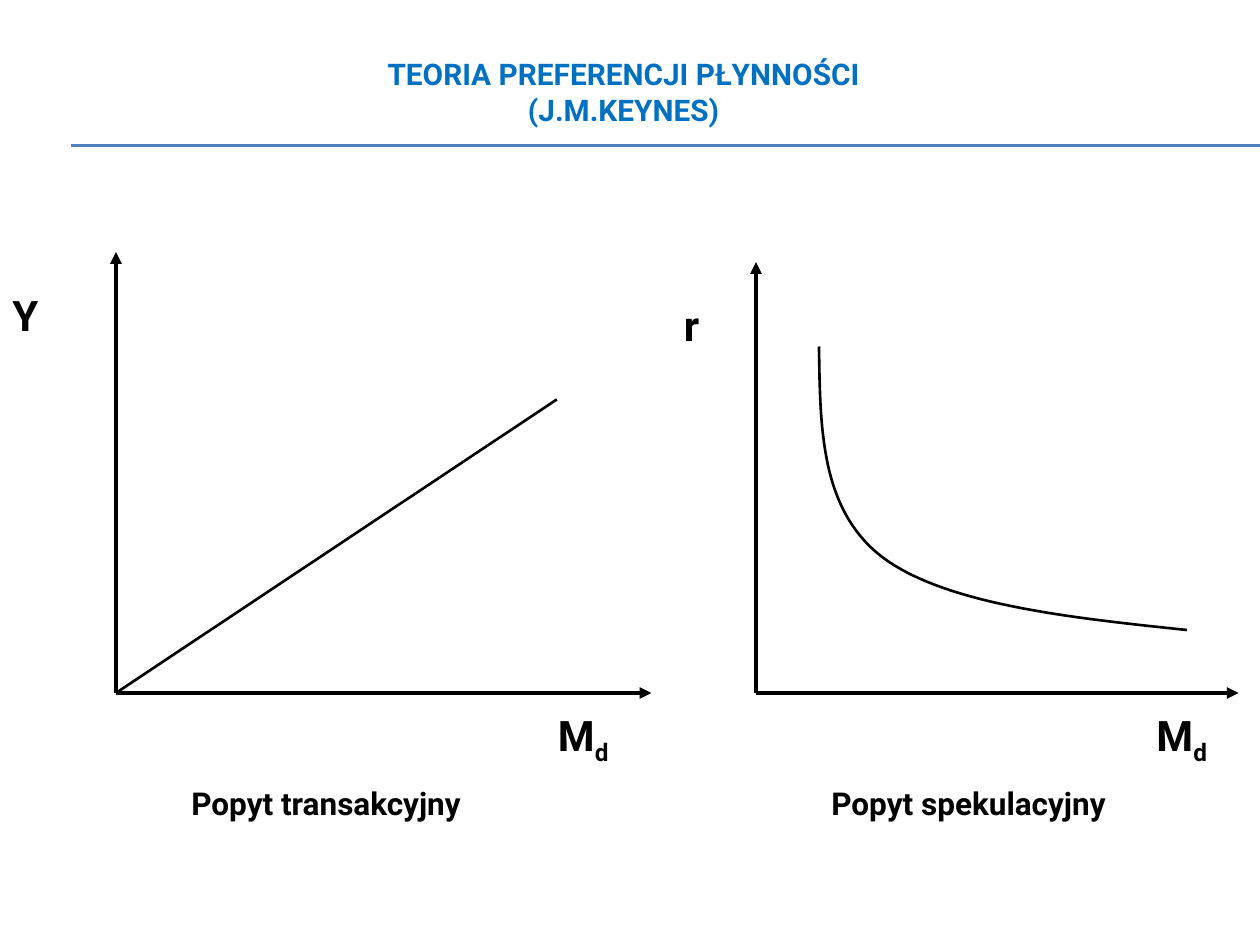
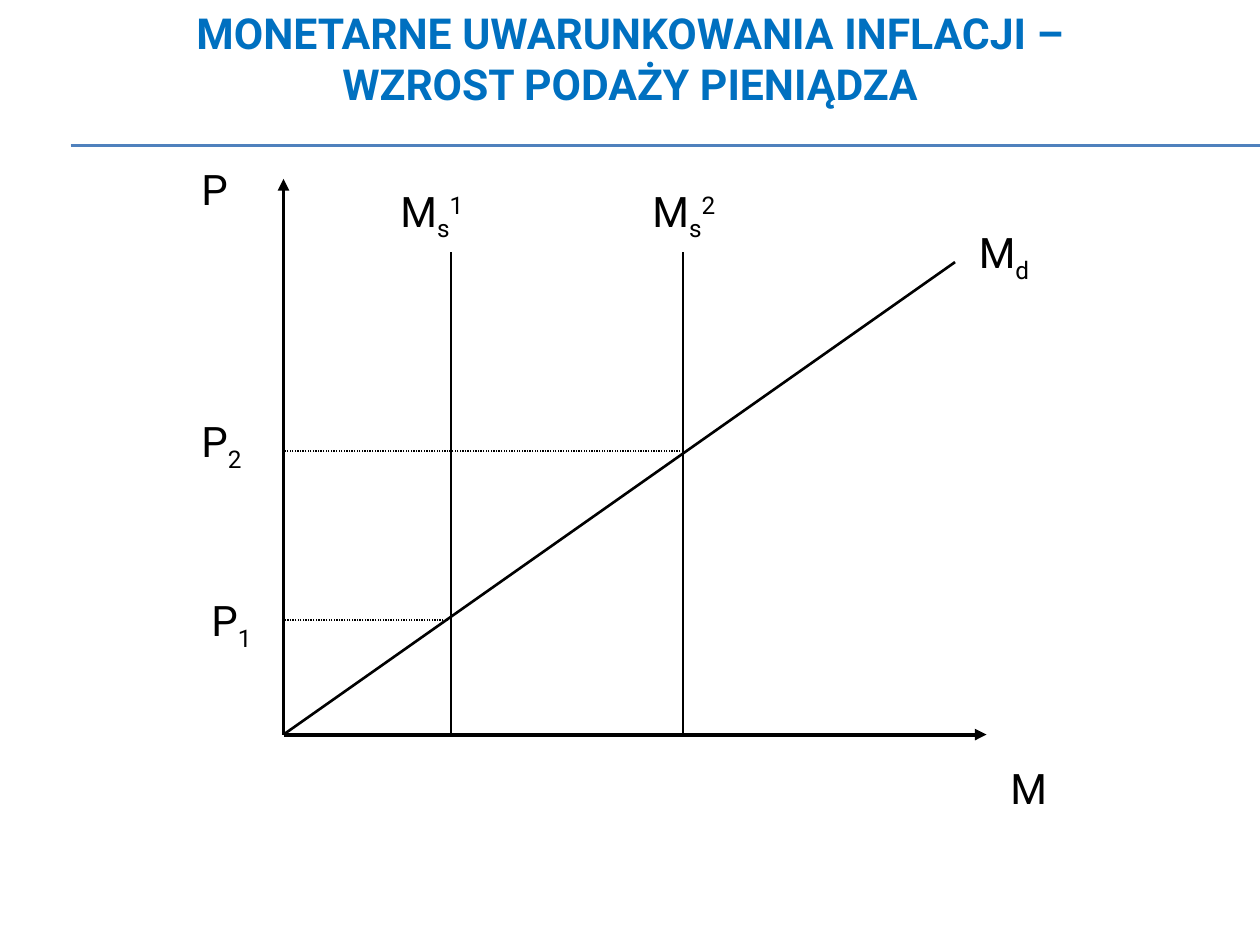
from copy import deepcopy
from dataclasses import dataclass

from lxml import etree
from pptx import Presentation
from pptx.dml.color import RGBColor
from pptx.enum import dml, shapes, text
from pptx.oxml import ns
from pptx.util import Inches, Pt

FONT = "Roboto"
BLACK, TITLE_BLUE, RULE_BLUE = "000000", "0070C0", "4F81BD"
TITLE_ONLY = 5
AXIS_WIDTH, CURVE_WIDTH, THIN_WIDTH = 2.25, 1.5, 0.75
RULE_LEFT, RULE_RIGHT, RULE_TOPS = 0.56, 10, (1.15, 1.16)
SUBSCRIPT, SUPERSCRIPT = -25000, 30000

Point = tuple[float, float]


@dataclass
class Axes:
    origin: Point
    top: float
    right: float


@dataclass
class Label:
    left: float
    top: float
    width: float
    body: str
    sub: str = ""
    sup: str = ""
    size: float = 24
    space_before: float = 12

    @property
    def height(self) -> float:
        if self.sub:
            return 0.55
        return 0.5 if self.size == 24 else 0.4


def color(value: str) -> RGBColor:
    return RGBColor.from_string(value)


def format_span(span, size: float, hue: str = BLACK, bold: bool = False, baseline: int = 0):
    font = span.font
    font.name, font.size, font.bold = FONT, Pt(size), bold
    font.color.rgb = color(hue)
    if baseline:
        span._r.get_or_add_rPr().set("baseline", str(baseline))


def add_title(page, content: str, left: float, top: float, width: float, height: float, size: float):
    box = page.shapes.title
    box.left, box.top, box.width, box.height = map(Inches, (left, top, width, height))
    frame = box.text_frame
    frame.word_wrap = True
    frame.auto_size = text.MSO_AUTO_SIZE.NONE
    frame.vertical_anchor = text.MSO_ANCHOR.MIDDLE
    para = frame.paragraphs[0]
    para.text = content
    para.alignment = text.PP_ALIGN.CENTER
    for span in para.runs:
        format_span(span, size, TITLE_BLUE, bold=True)
    # A line break needs the run format too, or it keeps the layout's larger size.
    for line_break in para._p.findall(ns.qn("a:br")):
        line_break.insert(0, deepcopy(para.runs[0]._r.rPr))


def add_line(page, start: Point, end: Point, width: float = CURVE_WIDTH, hue: str = BLACK,
             arrow: bool = False, dotted: bool = False):
    line = page.shapes.add_connector(shapes.MSO_CONNECTOR.STRAIGHT, *map(Inches, (*start, *end)))
    line.line.width = Pt(width)
    line.line.color.rgb = color(hue)
    if dotted:
        line.line.dash_style = dml.MSO_LINE.ROUND_DOT
    if arrow:
        etree.SubElement(line.line._get_or_add_ln(), ns.qn("a:tailEnd"), type="triangle")
    etree.SubElement(line._element.spPr, ns.qn("a:effectLst"))


def add_axes(page, axes: Axes):
    x, y = axes.origin
    for end in ((x, axes.top), (axes.right, y)):
        add_line(page, axes.origin, end, AXIS_WIDTH, arrow=True)


def add_label(page, label: Label, bold: bool = False):
    box = page.shapes.add_textbox(*map(Inches, (label.left, label.top, label.width, label.height)))
    box.text_frame.word_wrap = True
    para = box.text_frame.paragraphs[0]
    para.space_before = Pt(label.space_before)
    for part, baseline in ((label.body, 0), (label.sub, SUBSCRIPT), (label.sup, SUPERSCRIPT)):
        if part:
            span = para.add_run()
            span.text = part
            format_span(span, label.size, bold=bold, baseline=baseline)


def bezier(corners: tuple[Point, ...], steps: int = 30) -> list[Point]:
    """Points on a cubic curve, without its start."""
    points = []
    for step in range(1, steps + 1):
        t = step / steps
        weights = ((1 - t) ** 3, 3 * t * (1 - t) ** 2, 3 * t ** 2 * (1 - t), t ** 3)
        points.append(tuple(sum(w * c[i] for w, c in zip(weights, corners)) for i in (0, 1)))
    return points


def add_curve(page, start: Point, *pieces: tuple[Point, Point, Point]):
    points = [start]
    for piece in pieces:
        points += bezier((points[-1], *piece))
    in_emu = [(Inches(x), Inches(y)) for x, y in points]
    builder = page.shapes.build_freeform(*in_emu[0])
    builder.add_line_segments(in_emu[1:], close=False)
    curve = builder.convert_to_shape()
    curve.shadow.inherit = False
    curve.fill.background()
    curve.line.color.rgb = color(BLACK)
    curve.line.width = Pt(CURVE_WIDTH)


def add_page(deck):
    page = deck.slides.add_slide(deck.slide_layouts[TITLE_ONLY])
    for top in RULE_TOPS:
        add_line(page, (RULE_LEFT, top), (RULE_RIGHT, top), THIN_WIDTH, RULE_BLUE)
    return page


def build_liquidity_preference(deck):
    page = add_page(deck)
    add_title(page, "TEORIA PREFERENCJI PŁYNNOŚCI\n(J.M.KEYNES)", 0.7, 0.39, 8.5, 0.67, size=17)
    transaction = Axes((0.92, 5.5), top=2, right=5.17)
    speculation = Axes((6, 5.5), top=2.08, right=9.83)
    for axes in (transaction, speculation):
        add_axes(page, axes)
    add_line(page, transaction.origin, (4.42, 3.17))
    add_curve(page, (6.5, 2.75),
              ((6.51, 3.4), (6.51, 4.04), (7, 4.42)),
              ((7.49, 4.79), (8.45, 4.9), (9.42, 5)))
    for label in (
        Label(0, 2.25, 0.75, "Y"),
        Label(4.33, 5.58, 0.92, "M", "d"),
        Label(1.42, 6.17, 2.67, "Popyt transakcyjny", size=18, space_before=6),
        Label(5.33, 2.33, 0.58, "r"),
        Label(9.08, 5.58, 0.75, "M", "d"),
        Label(6.5, 6.17, 3, "Popyt spekulacyjny", size=18, space_before=6),
    ):
        add_label(page, label, bold=True)


def build_money_supply_growth(deck):
    page = add_page(deck)
    add_title(page, "MONETARNE UWARUNKOWANIA INFLACJI – WZROST PODAŻY PIENIĄDZA",
              0.75, 0, 8.5, 0.92, size=24.4)
    axes = Axes((2.25, 5.83), top=1.42, right=7.83)
    axis_x, axis_y = axes.origin
    add_axes(page, axes)
    add_line(page, axes.origin, (7.58, 2.08))
    for supply, price in ((3.58, 4.92), (5.42, 3.58)):
        add_line(page, (supply, 2), (supply, axis_y))
        add_line(page, (supply, price), (axis_x, price), THIN_WIDTH, dotted=True)
    for label in (
        Label(1.5, 1.25, 0.58, "P"),
        Label(7.92, 6, 0.67, "M"),
        Label(3.08, 1.42, 0.83, "M", "s", "1"),
        Label(5.08, 1.42, 0.83, "M", "s", "2"),
        Label(7.67, 1.75, 0.67, "M", "d"),
        Label(1.58, 4.67, 0.58, "P", "1"),
        Label(1.5, 3.25, 0.67, "P", "2"),
    ):
        add_label(page, label)


def main():
    deck = Presentation()
    deck.slide_width, deck.slide_height = Inches(10), Inches(7.5)
    build_liquidity_preference(deck)
    build_money_supply_growth(deck)
    deck.save("out.pptx")


if __name__ == "__main__":
    main()
